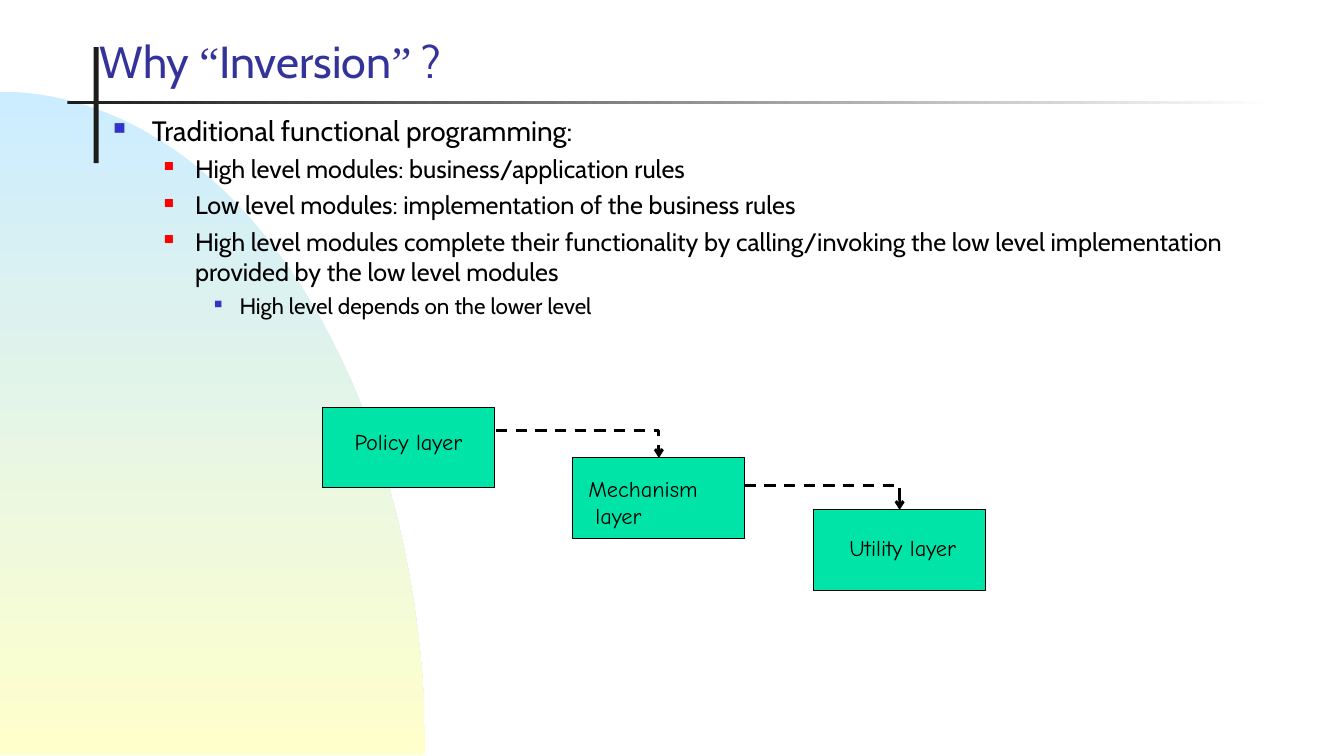
import math

import pptx
import pptx.dml.color
import pptx.enum.dml
import pptx.enum.shapes
import pptx.enum.text
import pptx.oxml
import pptx.oxml.ns
import pptx.util

Cm = pptx.util.Cm
Pt = pptx.util.Pt
qn = pptx.oxml.ns.qn
RECTANGLE = pptx.enum.shapes.MSO_SHAPE.RECTANGLE


def color(hex_string):
    return pptx.dml.color.RGBColor.from_string(hex_string)


def add_run(paragraph, text, font_name, size, hex_string):
    run = paragraph.add_run()
    run.text = text
    run.font.name = font_name
    run.font.size = Pt(size)
    run.font.color.rgb = color(hex_string)


presentation = pptx.Presentation()
presentation.slide_width = Cm(33.88)
presentation.slide_height = Cm(19.05)
slide = presentation.slides.add_slide(presentation.slide_layouts[6])
shapes = slide.shapes

arc_width, arc_top, arc_bottom = 10.72, 2.31, 19.03
arc_steps = 90
arc_points = []
for step in range(arc_steps + 1):
    angle = math.pi / 2 * step / arc_steps
    x = arc_width * math.sin(angle)
    y = arc_bottom - (arc_bottom - arc_top) * math.cos(angle)
    arc_points.append((Cm(x), Cm(y)))
builder = shapes.build_freeform(*arc_points[0])
builder.add_line_segments(arc_points[1:] + [(0, Cm(arc_bottom))], close=True)
backdrop = builder.convert_to_shape()

vertical_bar = shapes.add_shape(RECTANGLE, Cm(2.36), Cm(1.19), Cm(0.13), Cm(2.92))
vertical_bar.fill.solid()
vertical_bar.fill.fore_color.rgb = color("1C1C1C")
title_rule = shapes.add_shape(RECTANGLE, Cm(1.7), Cm(2.54), Cm(30.45), Cm(0.08))

for shape, angle, stop_colors in [
    (backdrop, 270, ("CCECFF", "FFFFCC")),
    (title_rule, 0, ("1C1C1C", "FFFFFF")),
]:
    shape.fill.gradient()
    shape.fill.gradient_angle = angle
    for position, (stop, stop_color) in enumerate(zip(shape.fill.gradient_stops, stop_colors)):
        stop.position = position
        stop.color.rgb = color(stop_color)

for shape in (backdrop, vertical_bar, title_rule):
    shape.line.fill.background()
    shape.shadow.inherit = False

title = shapes.add_textbox(Cm(2.26), Cm(0.43), Cm(23.98), Cm(1.9)).text_frame
title.word_wrap = True
title.vertical_anchor = pptx.enum.text.MSO_ANCHOR.BOTTOM
for text, font_name in [
    ("Why ", "Cabin"),
    ("“", "Times New Roman"),
    ("Inversion", "Cabin"),
    ("”", "Times New Roman"),
    (" ?", "Cabin"),
]:
    add_run(title.paragraphs[0], text, font_name, 32, "333399")

levels = [
    (0.97, 0.97, 0, 60, "3333CC", 20),
    (2.06, 0.79, 4.5, 55, "FF0000", 18),
    (3.18, 0.64, 4, 50, "3333CC", 16),
]
body_lines = [
    (0, "Traditional functional programming:"),
    (1, "High level modules: business/application rules"),
    (1, "Low level modules: implementation of the business rules"),
    (1, "High level modules complete their functionality by calling/invoking "
        "the low level implementation provided by the low level modules"),
    (2, "High level depends on the lower level"),
]
body = shapes.add_textbox(Cm(2.61), Cm(2.73), Cm(29.92), Cm(15.04)).text_frame
body.word_wrap = True
for index, (level, text) in enumerate(body_lines):
    margin, hanging, space_before, bullet_size, bullet_color, size = levels[level]
    paragraph = body.add_paragraph() if index else body.paragraphs[0]
    paragraph.level = level
    paragraph.space_before = Pt(space_before)
    properties = paragraph._p.get_or_add_pPr()
    properties.set("marL", str(Cm(margin)))
    properties.set("indent", str(-Cm(hanging)))
    bullet_color_element = pptx.oxml.parse_xml(
        f'<a:buClr {pptx.oxml.ns.nsdecls("a")}><a:srgbClr val="{bullet_color}"/></a:buClr>'
    )
    properties.append(bullet_color_element)
    bullet_size_element = properties.makeelement(qn("a:buSzPct"), {"val": str(bullet_size * 1000)})
    properties.append(bullet_size_element)
    properties.append(properties.makeelement(qn("a:buChar"), {"char": "■"}))
    add_run(paragraph, text, "Cabin", size, "000000")

layers = [
    (8.13, 10.26, 8.69, 10.67, ["Policy layer"]),
    (14.43, 11.54, 14.58, 11.84, ["Mechanism", "layer"]),
    (20.5, 12.85, 21.16, 13.34, ["Utility layer"]),
]
for left, top, label_left, label_top, label_lines in layers:
    box = shapes.add_shape(RECTANGLE, Cm(left), Cm(top), Cm(4.34), Cm(2.03))
    box.fill.solid()
    box.fill.fore_color.rgb = color("00E4A8")
    box.line.color.rgb = color("000000")
    box.line.width = Pt(0.75)
    box.shadow.inherit = False

    label_height = 0.25 + 0.69 * len(label_lines)
    label = shapes.add_textbox(Cm(label_left), Cm(label_top), Cm(3.6), Cm(label_height)).text_frame
    label.word_wrap = True
    for index, text in enumerate(label_lines):
        paragraph = label.add_paragraph() if index else label.paragraphs[0]
        if index:
            paragraph._p.get_or_add_pPr().set("marL", str(Cm(0.18)))
        add_run(paragraph, text, "Comic Neue", 16, "000000")

for start_x, start_y, end_x, end_y in [
    (12.5, 10.85, 16.61, 11.54),
    (18.77, 12.24, 22.68, 12.85),
]:
    arrow = shapes.add_connector(
        pptx.enum.shapes.MSO_CONNECTOR.ELBOW, Cm(start_x), Cm(start_y), Cm(end_x), Cm(end_y)
    )
    arrow.line.color.rgb = color("000000")
    arrow.line.width = Pt(2)
    arrow.line.dash_style = pptx.enum.dml.MSO_LINE.DASH
    arrow_properties = arrow._element.spPr
    arrow_properties.find(qn("a:prstGeom")).set("prst", "bentConnector2")
    line_element = arrow.line._get_or_add_ln()
    line_element.append(line_element.makeelement(qn("a:tailEnd"), {"type": "arrow"}))
    arrow_properties.append(arrow_properties.makeelement(qn("a:effectLst"), {}))

presentation.save("out.pptx")
